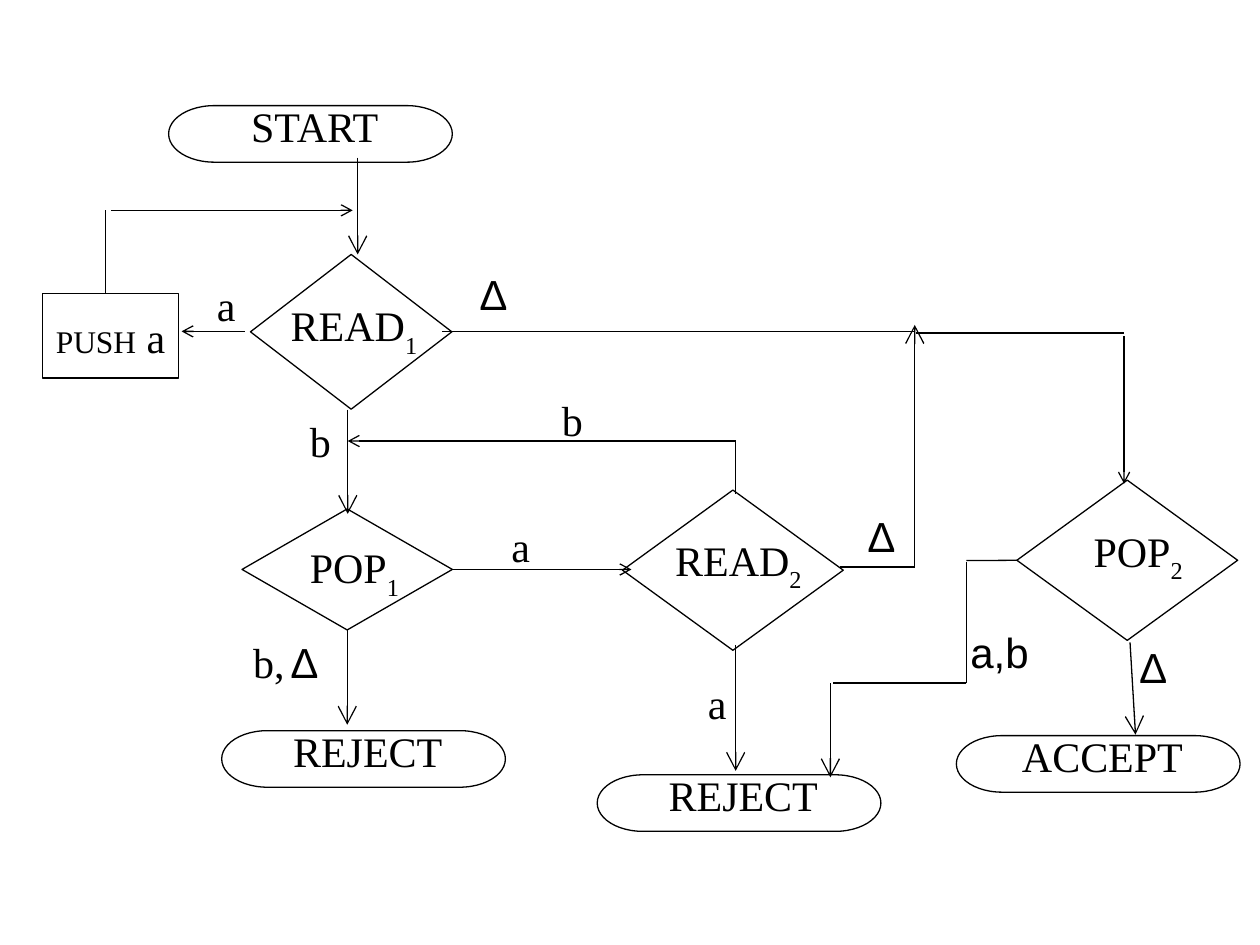
from lxml.etree import SubElement
from pptx import Presentation
from pptx.dml.color import RGBColor
from pptx.enum.shapes import MSO_CONNECTOR, MSO_SHAPE as SHAPE
from pptx.enum.text import MSO_AUTO_SIZE, PP_ALIGN
from pptx.oxml.ns import qn
from pptx.util import Cm, Pt

BLACK = RGBColor(0, 0, 0)
SERIF, SANS = "Times New Roman", "Arial"
TOP, LEFT, BOTTOM, RIGHT = range(4)
SMALL, LARGE = "med", "lg"


class Flowchart:
    line_width = Pt(0.75)
    size = 24

    def __init__(self, slide):
        self.shapes = slide.shapes

    def outline(self, kind, x, y, w, h):
        sp = self.shapes.add_shape(kind, Cm(x), Cm(y), Cm(w), Cm(h))
        sp.shadow.inherit = False
        sp.fill.background()
        sp.line.color.rgb = BLACK
        sp.line.width = self.line_width
        return sp

    def text(self, parts, x, y, w=1.9, h=1.27, font=SERIF, wrap=True,
             align=PP_ALIGN.CENTER):
        """Add one line of text; parts are (text, size, baseline) tuples."""
        tf = self.shapes.add_textbox(Cm(x), Cm(y), Cm(w), Cm(h)).text_frame
        tf.word_wrap = wrap
        tf.auto_size = MSO_AUTO_SIZE.SHAPE_TO_FIT_TEXT
        p = tf.paragraphs[0]
        p.alignment = align
        for content, size, baseline in parts:
            r = p.add_run()
            r.text = content
            r.font.name = font
            r.font.size = Pt(size)
            r.font.color.rgb = BLACK
            if baseline:
                r._r.get_or_add_rPr().set("baseline", str(baseline))

    def label(self, content, x, y, **style):
        self.text([(content, self.size, 0)], x, y, **style)

    def process(self, parts, x, y, w, h):
        self.outline(SHAPE.RECTANGLE, x, y, w, h)
        self.text(parts, x, y + 0.23, w, wrap=False)

    def terminator(self, content, x, y):
        self.label(content, x + 1.04, y - 0.23, w=3.81)
        self.outline(SHAPE.FLOWCHART_TERMINATOR, x, y, 5.72, 1.14)

    def decision(self, name, index, box, text_box):
        sp = self.outline(SHAPE.FLOWCHART_DECISION, *box)
        parts = [(name, self.size, 0), (index, self.size, -30000)]
        self.text(parts, *text_box, h=1.45, wrap=False)
        return sp

    def line(self, x1, y1, x2, y2, arrow=None, start=None):
        """Draw a line; start is an optional (shape, side) to join."""
        cxn = self.shapes.add_connector(
            MSO_CONNECTOR.STRAIGHT, Cm(x1), Cm(y1), Cm(x2), Cm(y2))
        if start:
            cxn.begin_connect(*start)
        cxn.line.color.rgb = BLACK
        cxn.line.width = self.line_width
        if arrow:
            SubElement(cxn.line._get_or_add_ln(), qn("a:tailEnd"),
                       type="arrow", w=arrow, len=arrow)
        SubElement(cxn._element.spPr, qn("a:effectLst"))


def main():
    prs = Presentation()
    prs.slide_width, prs.slide_height = Cm(25.4), Cm(19.05)
    chart = Flowchart(prs.slides.add_slide(prs.slide_layouts[6]))

    chart.process([("PUSH", 18, 0), (" a", 24, 0)], 0.86, 5.92, 2.74, 1.7)
    for content, x, y in [("START", 3.4, 2.13), ("REJECT", 12.04, 15.62),
                          ("REJECT", 4.47, 14.73), ("ACCEPT", 19.28, 14.83)]:
        chart.terminator(content, x, y)

    chart.decision("READ", "1", (5.05, 5.13, 4.06, 3.12), (5.61, 5.92, 3.05))
    chart.decision("READ", "2", (12.55, 9.88, 4.45, 3.23), (13.36, 10.64, 3.05))
    pop1 = chart.decision("POP", "1", (4.88, 10.26, 4.24, 2.44), (5.99, 10.8, 2.31))
    pop2 = chart.decision("POP", "2", (20.5, 9.68, 4.45, 3.23), (21.79, 10.46, 2.31))

    # Main flow
    chart.line(7.21, 3.18, 7.21, 5.13, LARGE)
    chart.line(7.01, 8.26, 7.01, 10.36, LARGE)
    chart.line(7, 12.7, 7, 14.61, LARGE, (pop1, BOTTOM))
    chart.line(9.12, 11.48, 12.73, 11.48, SMALL, (pop1, RIGHT))
    chart.line(14.83, 13, 14.83, 15.54, LARGE)
    chart.line(22.78, 12.95, 22.89, 14.81, LARGE)
    # Loop through PUSH
    chart.line(4.93, 6.68, 3.66, 6.68, SMALL)
    chart.line(2.13, 5.92, 2.13, 4.24)
    chart.line(2.24, 4.24, 7.11, 4.24, SMALL)
    # READ 2 back to POP 1
    chart.line(14.83, 9.96, 14.83, 8.86)
    chart.line(14.83, 8.89, 7.01, 8.89, SMALL)
    # READ 1 and READ 2 to POP 2
    chart.line(8.92, 6.68, 18.42, 6.68)
    chart.line(16.94, 11.43, 18.44, 11.43)
    chart.line(18.44, 11.43, 18.44, 6.55, LARGE)
    chart.line(18.47, 6.71, 22.66, 6.71)
    chart.line(22.66, 6.78, 22.66, 9.75, SMALL)
    # POP 2 to REJECT
    chart.line(20.5, 11.3, 19.48, 11.3, start=(pop2, LEFT))
    chart.line(19.48, 11.33, 19.48, 13.77)
    chart.line(19.48, 13.77, 16.79, 13.77)
    chart.line(16.74, 13.77, 16.74, 15.67, LARGE)

    for content, x, y in [("a", 9.55, 10.36), ("a", 3.61, 5.51),
                          ("b", 5.51, 8.26), ("b,", 4.47, 12.7),
                          ("b", 10.59, 7.82)]:
        chart.label(content, x, y)
    chart.label("a", 14.02, 13.54, align=PP_ALIGN.LEFT)
    for content, x, y in [("∆", 22.3, 12.8), ("∆", 9, 5.28), ("∆", 5.19, 12.7),
                          ("∆", 16.82, 10.16), ("a,b", 19.2, 12.5)]:
        chart.label(content, x, y, font=SANS)

    prs.save("out.pptx")


if __name__ == "__main__":
    main()
